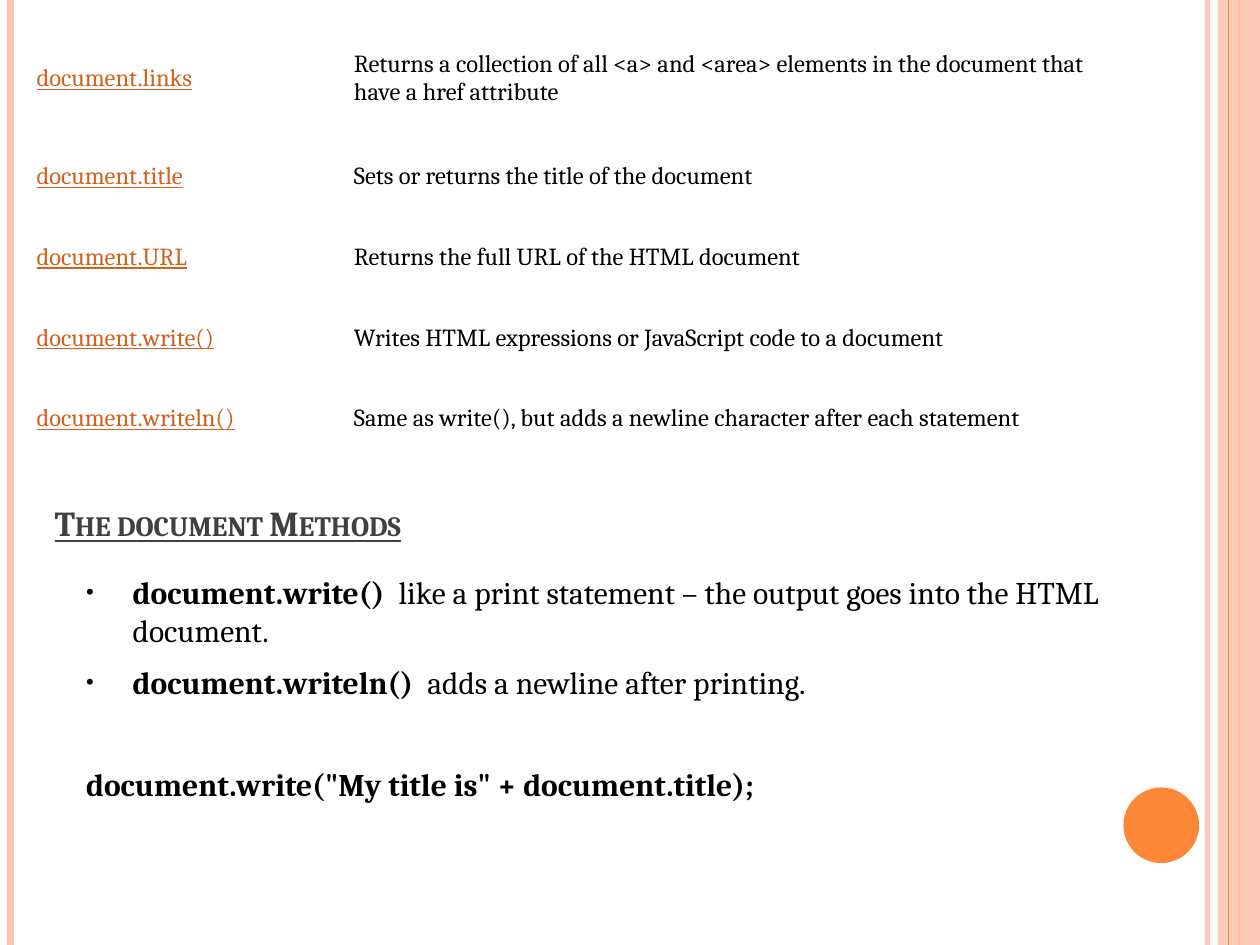
import dataclasses
import typing

import pptx
import pptx.dml.color
import pptx.enum.dml
import pptx.enum.shapes
import pptx.enum.text
import pptx.oxml
import pptx.oxml.ns
import pptx.util

RGB = pptx.dml.color.RGBColor
PEACH = RGB(0xFE, 0xC3, 0xAE)
ORANGE = RGB(0xFE, 0x86, 0x37)
LINK = RGB(0xD2, 0x61, 0x1C)
GREY = RGB(0x40, 0x40, 0x40)
BLACK = RGB(0, 0, 0)

FONT = "Cambria"
COLUMNS, ROWS = 120, 90
WIDTH, HEIGHT = pptx.util.Inches(10), pptx.util.Inches(7.5)


@dataclasses.dataclass(frozen=True)
class Stripe:
    col: float
    color: RGB
    width: float
    opacity: int = 100


@dataclasses.dataclass(frozen=True)
class Block:
    col: float
    row: float
    cols: float
    rows: float

    def box(self) -> tuple:
        return across(self.col), down(self.row), across(self.cols), down(self.rows)


@dataclasses.dataclass(frozen=True)
class Member:
    name: str
    meaning: str


@dataclasses.dataclass(frozen=True)
class Item:
    strong: str
    plain: str = ""
    before: float = 8
    bullet: bool = True


LEFT_STRIPES = [Stripe(115, PEACH, 3, 93), Stripe(1, PEACH, 4.5), Stripe(118, ORANGE, 1.5)]
RIGHT_STRIPE = Stripe(117, ORANGE, 0.75)
BAND = Block(116, 0, 4, ROWS)
DISC = Block(107, 75, 7.2, 7.2)
TABLE = Block(3, 2, 103.2, 41.72)
TITLE = Block(4, 46, 58.3, 6.4)
BODY = Block(7, 54, 99, 28.2)
TABLE_COLS = (30.24, 72.96)
FIRST_ROW, OTHER_ROW = 11, 7.68

MEMBERS = [
    Member("document.links", "Returns a collection of all <a> and <area> elements in the document that have a href attribute"),
    Member("document.title", "Sets or returns the title of the document"),
    Member("document.URL", "Returns the full URL of the HTML document"),
    Member("document.write()", "Writes HTML expressions or JavaScript code to a document"),
    Member("document.writeln()", "Same as write(), but adds a newline character after each statement"),
]
ITEMS = [
    Item("document.write()", "  like a print statement – the output goes into the HTML document."),
    Item("document.writeln()", "  adds a newline after printing."),
    Item('document.write("My title is" + document.title);', before=36.5, bullet=False),
]


def across(cols: float) -> int:
    return round(WIDTH * cols / COLUMNS)


def down(rows: float) -> int:
    return round(HEIGHT * rows / ROWS)


def xml(tag: str, **attrs: str) -> typing.Any:
    text = " ".join(f'{k}="{v}"' for k, v in attrs.items())
    return pptx.oxml.parse_xml(f'<a:{tag} {pptx.oxml.ns.nsdecls("a")} {text}/>')


def set_opacity(sp: typing.Any, percent: int) -> None:
    color = next(sp.element.spPr.iter(pptx.oxml.ns.qn("a:srgbClr")))
    color.append(xml("alpha", val=str(percent * 1000)))


def add_text(p: typing.Any, text: str, *, size: float, color: RGB = BLACK, bold: bool = False,
             underline: bool = False, small_caps: bool = False) -> None:
    r = p.add_run()
    r.text = text
    r.font.name = FONT
    r.font.size = pptx.util.Pt(size)
    r.font.color.rgb = color
    r.font.bold = bold
    r.font.underline = underline
    if small_caps:
        r.font._element.set("cap", "small")


def draw_stripe(s: typing.Any, stripe: Stripe) -> None:
    x = across(stripe.col)
    line = s.shapes.add_connector(pptx.enum.shapes.MSO_CONNECTOR.STRAIGHT, x, 0, x, HEIGHT)
    line.line.color.rgb = stripe.color
    line.line.width = pptx.util.Pt(stripe.width)
    if stripe.opacity < 100:
        set_opacity(line, stripe.opacity)
    line.element.spPr.append(xml("effectLst"))


def draw_block(s: typing.Any, kind: typing.Any, block: Block, color: RGB, opacity: int = 100) -> None:
    sp = s.shapes.add_shape(kind, *block.box())
    sp.shadow.inherit = False
    sp.fill.solid()
    sp.fill.fore_color.rgb = color
    sp.line.fill.background()
    if opacity < 100:
        set_opacity(sp, opacity)


def draw_table(s: typing.Any, members: list) -> None:
    table = s.shapes.add_table(len(members), 2, *TABLE.box()).table
    table.first_row = table.horz_banding = False
    for column, cols in zip(table.columns, TABLE_COLS):
        column.width = across(cols)
    for i, member in enumerate(members):
        table.rows[i].height = down(OTHER_ROW if i else FIRST_ROW)
        for j, text in enumerate((member.name, member.meaning)):
            cell = table.cell(i, j)
            cell.fill.background()
            cell.vertical_anchor = pptx.enum.text.MSO_ANCHOR.MIDDLE
            cell.margin_left = cell.margin_right = pptx.util.Inches(0.04)
            cell.margin_top = cell.margin_bottom = pptx.util.Inches(0.02)
            add_text(cell.text_frame.paragraphs[0], text, size=14,
                     color=BLACK if j else LINK, underline=j == 0)


def place(sp: typing.Any, block: Block, anchor: typing.Any) -> typing.Any:
    sp.left, sp.top, sp.width, sp.height = block.box()
    sp.element.getparent().append(sp.element)
    tf = sp.text_frame
    tf.word_wrap = True
    tf.auto_size = pptx.enum.text.MSO_AUTO_SIZE.NONE
    tf.vertical_anchor = anchor
    return tf


def fill_title(sp: typing.Any) -> None:
    p = place(sp, TITLE, pptx.enum.text.MSO_ANCHOR.BOTTOM).paragraphs[0]
    p.alignment = pptx.enum.text.PP_ALIGN.LEFT
    add_text(p, "The document Methods", size=20, color=GREY, bold=True, underline=True, small_caps=True)


def fill_body(sp: typing.Any, items: list) -> None:
    tf = place(sp, BODY, pptx.enum.text.MSO_ANCHOR.TOP)
    indent = pptx.util.Inches(0.37)
    for i, item in enumerate(items):
        p = tf.add_paragraph() if i else tf.paragraphs[0]
        p.space_before = pptx.util.Pt(item.before)
        props = p._p.get_or_add_pPr()
        props.set("marL", str(indent))
        props.set("indent", str(-indent))
        if item.bullet:
            color = xml("buClr")
            color.append(xml("srgbClr", val=str(BLACK)))
            props.extend([color, xml("buSzPct", val="70000"),
                          xml("buFont", typeface="Arial"), xml("buChar", char="•")])
        else:
            props.append(xml("buNone"))
        add_text(p, item.strong, size=18, bold=True)
        if item.plain:
            add_text(p, item.plain, size=18)


def main() -> None:
    prs = pptx.Presentation()
    prs.slide_width, prs.slide_height = WIDTH, HEIGHT
    s = prs.slides.add_slide(prs.slide_layouts[1])
    shapes = pptx.enum.shapes.MSO_SHAPE
    for stripe in LEFT_STRIPES:
        draw_stripe(s, stripe)
    draw_block(s, shapes.RECTANGLE, BAND, PEACH, 87)
    draw_stripe(s, RIGHT_STRIPE)
    draw_block(s, shapes.OVAL, DISC, ORANGE)
    draw_table(s, MEMBERS)
    fill_title(s.shapes.title)
    fill_body(s.placeholders[1], ITEMS)
    prs.save("out.pptx")


if __name__ == "__main__":
    main()
